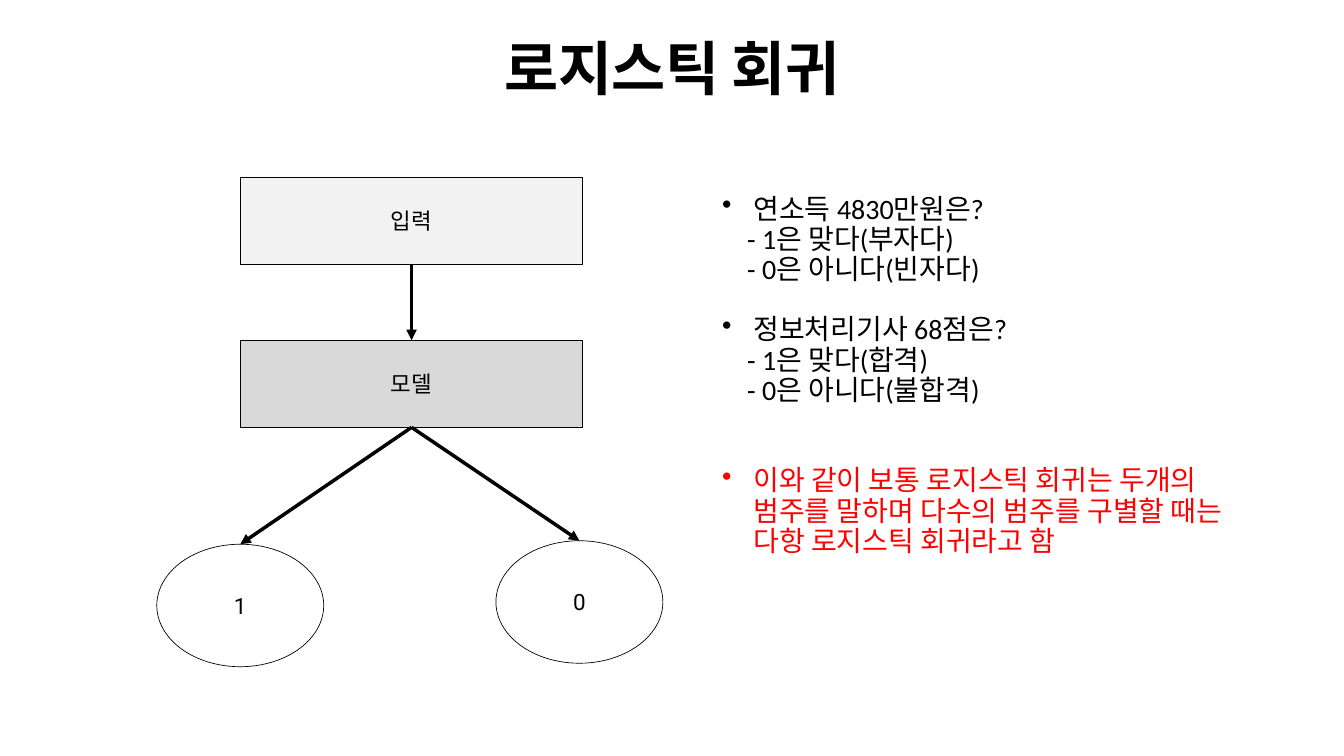
from lxml import etree
from pptx import Presentation
from pptx import util as u
from pptx.dml.color import RGBColor
from pptx.enum import shapes, text
from pptx.oxml import ns

Pt = u.Pt


def color(value):
    return RGBColor.from_string(value)


def prepare_frame(shape, anchor):
    """Set wrapping, insets and anchor, and return the text frame."""
    frame = shape.text_frame
    frame.word_wrap = True
    frame.margin_left = frame.margin_right = Pt(4)
    frame.margin_top = frame.margin_bottom = Pt(4)
    frame.vertical_anchor = anchor
    return frame


deck = Presentation()
deck.slide_width, deck.slide_height = Pt(1920), Pt(1080)
slide = deck.slides.add_slide(deck.slide_layouts[6])

# Title
title_box = slide.shapes.add_textbox(Pt(96), Pt(61), Pt(1728), Pt(136))
title = prepare_frame(title_box, text.MSO_ANCHOR.TOP).paragraphs[0]
title.text = "로지스틱 회귀"
title.alignment = text.PP_ALIGN.CENTER
title.line_spacing = 0.8
title.font.name, title.font.size, title.font.bold = "Roboto", Pt(84), True
title.font.color.rgb = color("000000")
title.runs[0]._r.get_or_add_rPr().set("spc", "-80")

# Flow from input through model to the two classes
RECT, OVAL = shapes.MSO_SHAPE.RECTANGLE, shapes.MSO_SHAPE.OVAL
nodes = {}
for label, kind, left, top, width, height, fill in [
    ("입력", RECT, 343.5, 253, 489, 124.5, "F2F2F2"),
    ("모델", RECT, 343.5, 486, 489, 124.5, "D9D9D9"),
    ("1", OVAL, 224, 777.5, 238.5, 175, "FFFFFF"),
    ("0", OVAL, 708.5, 772.5, 238.5, 175, "FFFFFF"),
]:
    node = slide.shapes.add_shape(kind, Pt(left), Pt(top), Pt(width), Pt(height))
    node.shadow.inherit = False
    node.fill.solid()
    node.fill.fore_color.rgb = color(fill)
    node.line.color.rgb = color("000000")
    node.line.width = Pt(1)
    caption = prepare_frame(node, text.MSO_ANCHOR.MIDDLE).paragraphs[0]
    caption.text = label
    caption.alignment = text.PP_ALIGN.CENTER
    caption.font.name, caption.font.size = "Roboto", Pt(32)
    caption.font.color.rgb = color("000000")
    nodes[label] = node

# Connection sites: the bottom is 2 on a rectangle and the top is always 0
for source, target in [("입력", "모델"), ("모델", "1"), ("모델", "0")]:
    arrow = slide.shapes.add_connector(shapes.MSO_CONNECTOR.STRAIGHT, 0, 0, 0, 0)
    arrow.begin_connect(nodes[source], 2)
    arrow.end_connect(nodes[target], 0)
    arrow.line.color.rgb = color("000000")
    arrow.line.width = Pt(5)
    etree.SubElement(arrow.line._get_or_add_ln(), ns.qn("a:tailEnd"), type="triangle")
    etree.SubElement(arrow._element.spPr, ns.qn("a:effectLst"))

# Explanation: text, bulleted, space before, colour
LINE = 43
explanation = [
    ("연소득 4830만원은?", True, 0, "000000"),
    ("- 1은 맞다(부자다)", False, 0, "000000"),
    ("- 0은 아니다(빈자다)", False, 0, "000000"),
    ("정보처리기사 68점은?", True, LINE, "000000"),
    ("- 1은 맞다(합격)", False, 0, "000000"),
    ("- 0은 아니다(불합격)", False, 0, "000000"),
    ("이와 같이 보통 로지스틱 회귀는 두개의 범주를 말하며 "
     "다수의 범주를 구별할 때는 다항 로지스틱 회귀라고 함", True, 2 * LINE, "FF0000"),
]
explanation_box = slide.shapes.add_textbox(Pt(1027.5), Pt(271.5), Pt(783.5), Pt(531.5))
frame = prepare_frame(explanation_box, text.MSO_ANCHOR.MIDDLE)
for index, (wording, bulleted, gap, ink) in enumerate(explanation):
    line = frame.add_paragraph() if index else frame.paragraphs[0]
    line.text = wording
    line.line_spacing = 0.9
    line.space_before = Pt(gap)
    line.font.name, line.font.size = "Calibri", Pt(40)
    line.font.color.rgb = color(ink)
    properties = line._p.get_or_add_pPr()
    properties.set("marL", str(Pt(45 if bulleted else 36)))
    if bulleted:
        properties.set("indent", str(Pt(-45)))
        bullet = etree.Element(ns.qn("a:buChar"), char="•")
        properties.find(ns.qn("a:defRPr")).addprevious(bullet)

deck.save("out.pptx")
